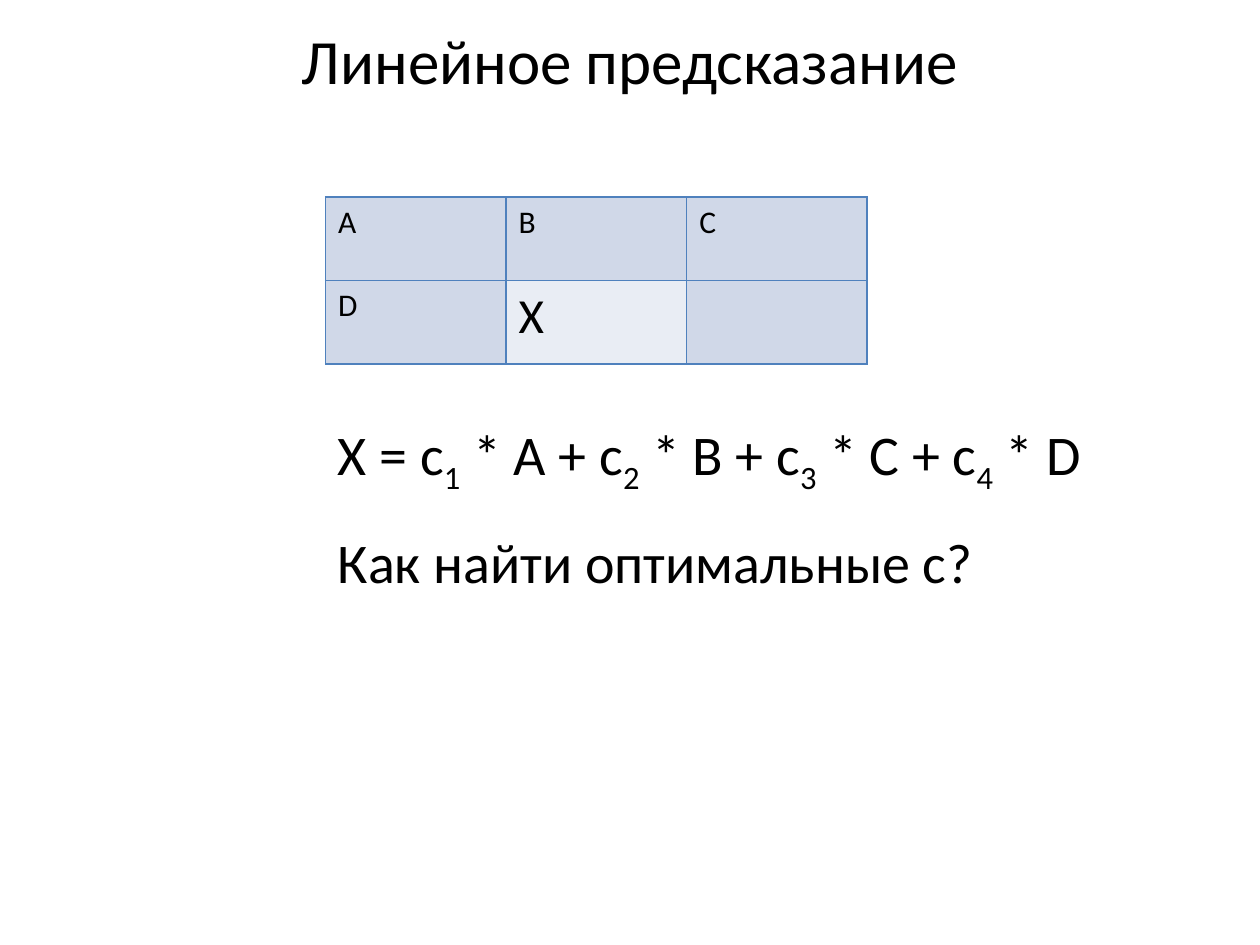
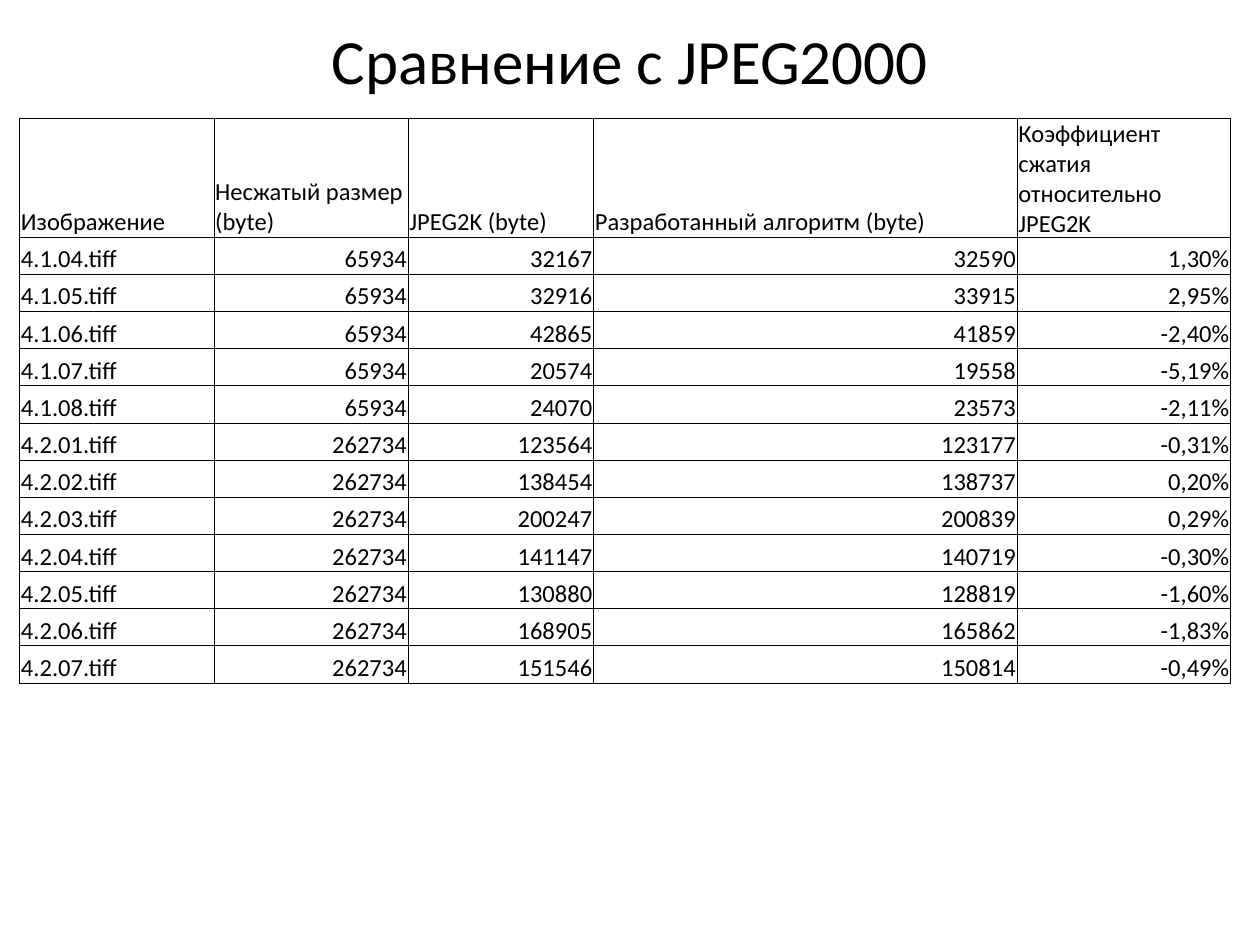
"""Build two slides on linear prediction and its results against JPEG2000."""
from lxml.etree import SubElement as Sub
from pptx import Presentation
from pptx.dml.color import RGBColor
from pptx.enum.text import MSO_ANCHOR as Anchor, PP_ALIGN as Align
from pptx.oxml.ns import qn
from pptx.util import Pt

FONT = "Calibri"
BLACK = RGBColor(0x00, 0x00, 0x00)
BLUE = RGBColor(0x4F, 0x81, 0xBD)
KNOWN = RGBColor(0xD0, 0xD8, 0xE8)
TARGET = RGBColor(0xE9, 0xED, 0xF4)
WIDE, HIGH = 720, 540
LEFT = 186

PIXELS = [("A", "B", "C"), ("D", "X", "")]
HEADS = ("Изображение", "Несжатый размер (byte)", "JPEG2K (byte)",
         "Разработанный алгоритм (byte)",
         "Коэффициент сжатия относительно JPEG2K")
RESULTS = [
    ("4.1.04.tiff", 65934, 32167, 32590, "1,30%"),
    ("4.1.05.tiff", 65934, 32916, 33915, "2,95%"),
    ("4.1.06.tiff", 65934, 42865, 41859, "-2,40%"),
    ("4.1.07.tiff", 65934, 20574, 19558, "-5,19%"),
    ("4.1.08.tiff", 65934, 24070, 23573, "-2,11%"),
    ("4.2.01.tiff", 262734, 123564, 123177, "-0,31%"),
    ("4.2.02.tiff", 262734, 138454, 138737, "0,20%"),
    ("4.2.03.tiff", 262734, 200247, 200839, "0,29%"),
    ("4.2.04.tiff", 262734, 141147, 140719, "-0,30%"),
    ("4.2.05.tiff", 262734, 130880, 128819, "-1,60%"),
    ("4.2.06.tiff", 262734, 168905, 165862, "-1,83%"),
    ("4.2.07.tiff", 262734, 151546, 150814, "-0,49%"),
]


def write(frame, text, size=18, color=BLACK, align=Align.LEFT):
    """Fill a text frame; parts between bars become subscripts."""
    para = frame.paragraphs[0]
    para.alignment = align
    para.font.size = Pt(size)
    for i, part in enumerate(text.split("|")):
        run = para.add_run()
        run.text = part
        run.font.name = FONT
        run.font.size = Pt(size)
        run.font.color.rgb = color
        if i % 2:
            run.font._element.set("baseline", "-25000")


def add_text(slide, text, left, top, width, height, anchor=Anchor.TOP, **style):
    """Place a wrapped text box."""
    box = slide.shapes.add_textbox(Pt(left), Pt(top), Pt(width), Pt(height))
    frame = box.text_frame
    frame.word_wrap = True
    frame.vertical_anchor = anchor
    write(frame, text, **style)


def add_title(slide, text):
    """Place the centred title across the top."""
    add_text(slide, text, 0, 0, WIDE, 67.5, anchor=Anchor.MIDDLE,
             size=36, align=Align.CENTER)


def add_edges(cell, color, width):
    """Draw the four borders of a cell."""
    props = cell._tc.get_or_add_tcPr()
    for side in ("lnL", "lnR", "lnT", "lnB"):
        line = Sub(props, qn(f"a:{side}"), w=str(Pt(width)))
        fill = Sub(line, qn("a:solidFill"))
        Sub(fill, qn("a:srgbClr"), val=str(color))


def add_grid(slide, left, top, cols, rows, color, width):
    """Add a plain table with bordered cells."""
    frame = slide.shapes.add_table(len(rows), len(cols), Pt(left), Pt(top),
                                   Pt(sum(cols)), Pt(sum(rows)))
    table = frame.table
    table.first_row = table.horz_banding = False
    for col, size in zip(table.columns, cols):
        col.width = Pt(size)
    for row, size in zip(table.rows, rows):
        row.height = Pt(size)
    for cell in table.iter_cells():
        add_edges(cell, color, width)
    return table


def add_pixels(slide):
    """Add the neighbour grid around the predicted pixel X."""
    table = add_grid(slide, LEFT, 112.5, [103.2] * 3, [47.75] * 2, BLUE, 1)
    for r, row in enumerate(PIXELS):
        for c, name in enumerate(row):
            cell = table.cell(r, c)
            goal = name == "X"
            cell.fill.solid()
            cell.fill.fore_color.rgb = TARGET if goal else KNOWN
            if name:
                write(cell.text_frame, name, size=28 if goal else 18)


def add_results(slide):
    """Add the table of compressed sizes."""
    rows = [66.3] + [21.25] * len(RESULTS)
    table = add_grid(slide, 11.25, 67.5, [111, 111, 106, 242, 122],
                     rows, BLACK, 0.5)
    for r, row in enumerate([HEADS] + RESULTS):
        for c, value in enumerate(row):
            cell = table.cell(r, c)
            cell.fill.background()
            cell.vertical_anchor = Anchor.BOTTOM
            cell.margin_left = cell.margin_right = cell.margin_top = Pt(0.75)
            cell.margin_bottom = 0
            write(cell.text_frame, str(value), size=14,
                  align=Align.RIGHT if r and c else Align.LEFT)


def main():
    """Build and save both slides."""
    deck = Presentation()
    deck.slide_width, deck.slide_height = Pt(WIDE), Pt(HIGH)
    blank = deck.slide_layouts[6]

    slide = deck.slides.add_slide(blank)
    add_title(slide, "Линейное предсказание")
    add_pixels(slide)
    formula = "X = c|1| * A + c|2| * B + c|3| * C + c|4| * D"
    for top, text in ((236, formula), (298, "Как найти оптимальные c?")):
        add_text(slide, text, LEFT, top, 562, 46, size=32)

    slide = deck.slides.add_slide(blank)
    add_title(slide, "Сравнение с JPEG2000")
    add_results(slide)

    deck.save("out.pptx")


if __name__ == "__main__":
    main()
